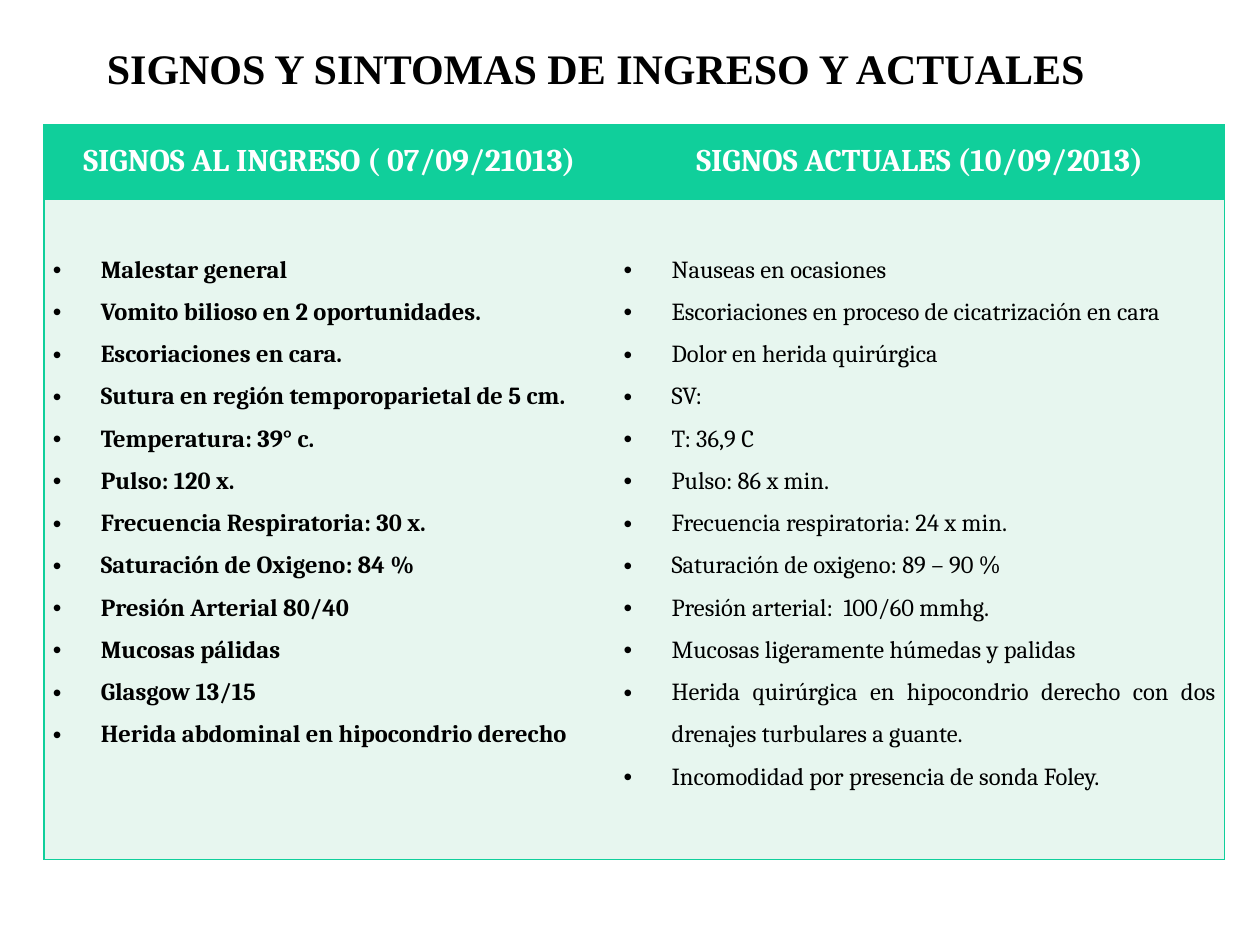
from dataclasses import dataclass

from lxml import etree
from pptx import Presentation
from pptx.dml.color import RGBColor
from pptx.enum.text import MSO_ANCHOR, MSO_AUTO_SIZE, PP_ALIGN
from pptx.oxml.ns import qn
from pptx.util import Inches, Pt

CENTER = PP_ALIGN.CENTER
JUSTIFY = PP_ALIGN.JUSTIFY
MIDDLE = MSO_ANCHOR.MIDDLE
FIT_SHAPE = MSO_AUTO_SIZE.SHAPE_TO_FIT_TEXT

GREEN, MINT, WHITE, BLACK = "10CF9B", "E7F6EF", "FFFFFF", "000000"
HEADER_HEIGHT, BODY_HEIGHT = 0.59, 5.24
BODY_TOP_MARGIN = 0.34
BULLET_INDENT = 0.38

TITLE_FORMAT = {"name": "Times New Roman", "size": Pt(24), "bold": True}
HEADER_FORMAT = {"name": "Cambria", "size": Pt(18), "bold": True}
BODY_FORMAT = {"name": "Cambria", "size": Pt(14)}


@dataclass
class SignColumn:
    heading: str
    width: float
    bold: bool
    edges: str
    signs: list[str]


COLUMNS = [
    SignColumn("SIGNOS AL INGRESO ( 07/09/21013)", 4.53, True, "LTB", [
        "Malestar general",
        "Vomito bilioso en 2 oportunidades.",
        "Escoriaciones en cara.",
        "Sutura en región temporoparietal de 5 cm.",
        "Temperatura: 39° c.",
        "Pulso: 120 x.",
        "Frecuencia Respiratoria: 30 x.",
        "Saturación de Oxigeno: 84 %",
        "Presión Arterial 80/40",
        "Mucosas pálidas",
        "Glasgow 13/15",
        "Herida abdominal en hipocondrio derecho",
    ]),
    SignColumn("SIGNOS ACTUALES (10/09/2013)", 4.84, False, "RTB", [
        "Nauseas en ocasiones",
        "Escoriaciones en proceso de cicatrización en cara",
        "Dolor en herida quirúrgica",
        "SV:",
        "T: 36,9 C",
        "Pulso: 86 x min.",
        "Frecuencia respiratoria: 24 x min.",
        "Saturación de oxigeno: 89 – 90 %",
        "Presión arterial:  100/60 mmhg.",
        "Mucosas ligeramente húmedas y palidas",
        "Herida quirúrgica en hipocondrio derecho con dos drenajes "
        "turbulares a guante.",
        "Incomodidad por presencia de sonda Foley.",
    ]),
]


def color(hex_value: str) -> RGBColor:
    return RGBColor.from_string(hex_value)


def write(paragraph, text: str, text_color: str, font_format: dict) -> None:
    run = paragraph.add_run()
    run.text = text
    for attribute, value in font_format.items():
        setattr(run.font, attribute, value)
    run.font.color.rgb = color(text_color)


def add_bullet(paragraph) -> None:
    properties = paragraph._p.get_or_add_pPr()
    properties.set("marL", str(Inches(BULLET_INDENT)))
    properties.set("indent", str(-Inches(BULLET_INDENT)))
    etree.SubElement(properties, qn("a:buFont"), typeface="Arial")
    etree.SubElement(properties, qn("a:buChar"), char="•")


def style_cell(cell, fill: str, edges: str, top_margin: float = 0) -> None:
    properties = cell._tc.get_or_add_tcPr()
    for side in "LRTB":
        line = etree.SubElement(properties, qn(f"a:ln{side}"), w=str(Pt(1)))
        if side in edges:
            solid = etree.SubElement(line, qn("a:solidFill"))
            etree.SubElement(solid, qn("a:srgbClr"), val=GREEN)
        else:
            etree.SubElement(line, qn("a:noFill"))
    cell.fill.solid()
    cell.fill.fore_color.rgb = color(fill)
    cell.margin_left = cell.margin_right = Inches(0.07)
    cell.margin_top, cell.margin_bottom = Inches(top_margin), 0


def fill_column(table, index: int, column: SignColumn) -> None:
    table.columns[index].width = Inches(column.width)
    header, body = table.cell(0, index), table.cell(1, index)

    style_cell(header, GREEN, column.edges)
    paragraph = header.text_frame.paragraphs[0]
    paragraph.alignment, paragraph.line_spacing = CENTER, 1.5
    write(paragraph, column.heading, WHITE, HEADER_FORMAT)

    style_cell(body, MINT, column.edges, BODY_TOP_MARGIN)
    frame = body.text_frame
    for number, sign in enumerate(column.signs):
        paragraph = frame.add_paragraph() if number else frame.paragraphs[0]
        paragraph.alignment, paragraph.line_spacing = JUSTIFY, 1.5
        add_bullet(paragraph)
        write(paragraph, sign, BLACK, BODY_FORMAT | {"bold": column.bold})


def add_title(slide, text: str) -> None:
    shape = slide.shapes.add_textbox(
        Inches(0.75), Inches(0.29), Inches(8.27), Inches(0.5))
    frame = shape.text_frame
    frame.word_wrap = True
    frame.auto_size = FIT_SHAPE
    frame.vertical_anchor = MIDDLE
    frame.paragraphs[0].alignment = JUSTIFY
    write(frame.paragraphs[0], text, BLACK, TITLE_FORMAT)


def add_sign_table(slide, columns: list[SignColumn]) -> None:
    width = sum(column.width for column in columns)
    table = slide.shapes.add_table(
        2, len(columns), Inches(0.35), Inches(0.99), Inches(width),
        Inches(HEADER_HEIGHT + BODY_HEIGHT)).table
    table.horz_banding = False
    table.first_row = False
    for row, height in zip(table.rows, (HEADER_HEIGHT, BODY_HEIGHT)):
        row.height = Inches(height)
    for index, column in enumerate(columns):
        fill_column(table, index, column)


def main() -> None:
    presentation = Presentation()
    presentation.slide_width = Inches(10)
    presentation.slide_height = Inches(7.5)
    slide = presentation.slides.add_slide(presentation.slide_layouts[6])

    # Title
    add_title(slide, "SIGNOS Y SINTOMAS DE INGRESO Y ACTUALES")

    # Signs on admission beside current signs
    add_sign_table(slide, COLUMNS)

    presentation.save("out.pptx")


if __name__ == "__main__":
    main()
